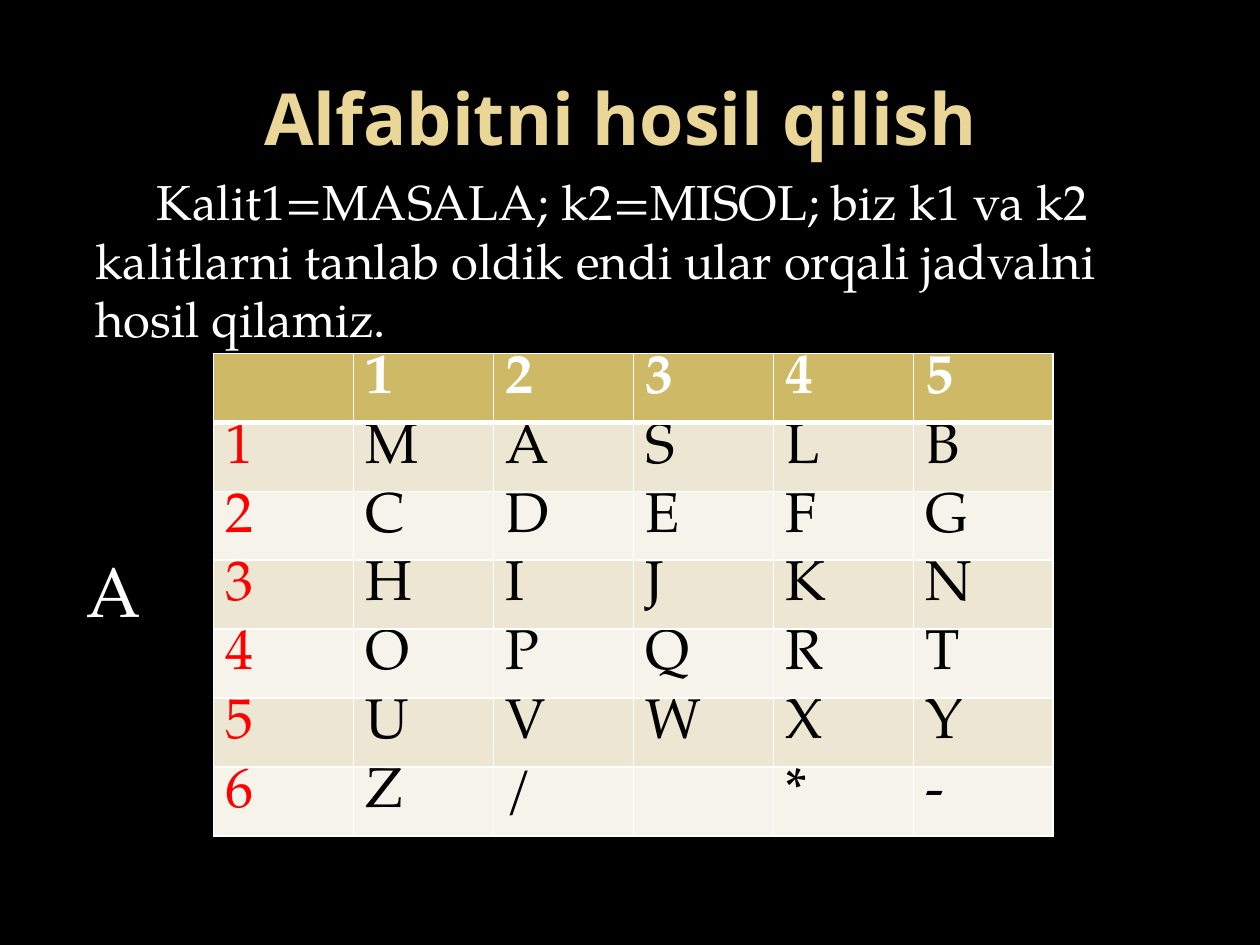
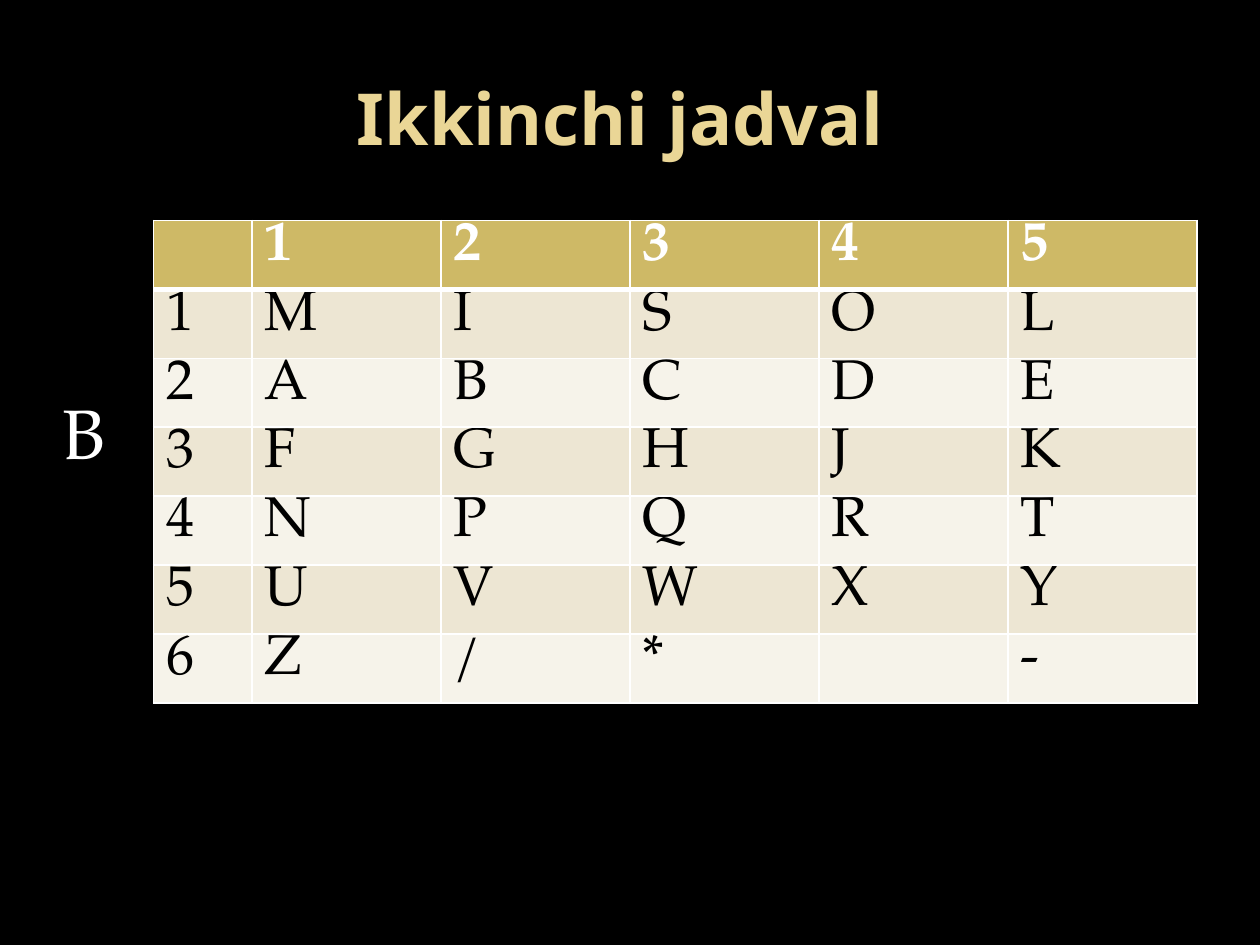
import pptx
import pptx.dml.color
import pptx.enum.text
import pptx.oxml
import pptx.oxml.ns
import pptx.util
from lxml import etree

Pt = pptx.util.Pt

# Content: table rows list the row label first, then the letters
SLIDES = [
    {
        "title": "Alfabitni hosil qilish ",
        "intro": "Kalit1=MASALA; k2=MISOL; biz k1 va k2 kalitlarni tanlab oldik "
                 "endi ular orqali jadvalni hosil qilamiz.",
        "rows": [" 12345", "1MASLB", "2CDEFG", "3HIJKN", "4OPQRT", "5UVWXY", "6Z/ *-"],
        "table_at": (121.9, 202),
        "column_widths": [80] * 6,
        "label_color": "FF0000",
        "letter": "A",
        "letter_box": (42.5, 309.6, 46, 55.4),
    },
    {
        "title": "Ikkinchi jadval ",
        "intro": None,
        "rows": [" 12345", "1MISOL", "2ABCDE", "3FGHJK", "4NPQRT", "5UVWXY", "6Z/* -"],
        "table_at": (87.8, 126),
        "column_widths": [56.2] + [108] * 5,
        "label_color": "000000",
        "letter": "B",
        "letter_box": (28.8, 218.9, 38.9, 55.4),
    },
]

# Shared style
TITLE_FONT, BODY_FONT = "Noto Sans", "TeX Gyre Pagella"
BLACK, WHITE, TITLE_GOLD = "000000", "FFFFFF", "EAD696"
HEADER_FILL, BAND_FILLS = "CEB966", ("EDE6D3", "F6F3EA")
TITLE_BOX = (36, 21.6, 648, 90)
INTRO_BOX = (36.7, 94.3, 648, 388)
ROW_HEIGHT = 39.4


def color(hex_string):
    return pptx.dml.color.RGBColor.from_string(hex_string)


def add_run(paragraph, text, size, hex_string, font=BODY_FONT, bold=False):
    run = paragraph.add_run()
    run.text = text
    run.font.name, run.font.size, run.font.bold = font, Pt(size), bold
    run.font.color.rgb = color(hex_string)


def add_text_frame(slide, box, wrap=True):
    text_frame = slide.shapes.add_textbox(*map(Pt, box)).text_frame
    text_frame.word_wrap = wrap
    return text_frame


def add_title(slide, text):
    text_frame = add_text_frame(slide, TITLE_BOX)
    text_frame.vertical_anchor = pptx.enum.text.MSO_ANCHOR.MIDDLE
    paragraph = text_frame.paragraphs[0]
    paragraph.alignment = pptx.enum.text.PP_ALIGN.CENTER
    add_run(paragraph, text, 41, TITLE_GOLD, TITLE_FONT, bold=True)


def add_intro(slide, text):
    paragraph = add_text_frame(slide, INTRO_BOX).paragraphs[0]
    paragraph.space_before = Pt(5.6)
    properties = paragraph._p.get_or_add_pPr()
    properties.set("marL", str(Pt(10.8)))
    properties.set("indent", str(Pt(35)))
    add_run(paragraph, text, 28, WHITE)


def add_border(cell, side, width):
    line = etree.SubElement(cell._tc.get_or_add_tcPr(),
                            pptx.oxml.ns.qn("a:ln" + side), w=str(Pt(width)))
    fill = etree.SubElement(line, pptx.oxml.ns.qn("a:solidFill"))
    etree.SubElement(fill, pptx.oxml.ns.qn("a:srgbClr"), val=WHITE)


def style_cell(cell, row_index):
    cell.margin_top = cell.margin_bottom = 0
    # A thick rule separates the header from the letters
    widths = {"L": 1, "R": 1, "T": 3 if row_index == 1 else 1, "B": 3 if row_index == 0 else 1}
    for side, width in widths.items():
        add_border(cell, side, width)
    cell.fill.solid()
    cell.fill.fore_color.rgb = color(BAND_FILLS[(row_index - 1) % 2] if row_index else HEADER_FILL)


def add_key_table(slide, rows, table_at, column_widths, label_color):
    size = (sum(column_widths), ROW_HEIGHT * len(rows))
    table = slide.shapes.add_table(len(rows), len(column_widths),
                                   *map(Pt, table_at + size)).table
    for column, width in zip(table.columns, column_widths):
        column.width = Pt(width)
    for row_index, row in enumerate(rows):
        table.rows[row_index].height = Pt(ROW_HEIGHT)
        for column_index, symbol in enumerate(row):
            cell = table.cell(row_index, column_index)
            style_cell(cell, row_index)
            if symbol == " ":
                continue
            is_header = row_index == 0
            text_color = WHITE if is_header else BLACK if column_index else label_color
            add_run(cell.text_frame.paragraphs[0], symbol, 32, text_color, bold=is_header)


def main():
    presentation = pptx.Presentation()
    presentation.slide_width, presentation.slide_height = Pt(720), Pt(540)
    background = presentation.slide_master.background.fill
    background.solid()
    background.fore_color.rgb = color(BLACK)

    for content in SLIDES:
        slide = presentation.slides.add_slide(presentation.slide_layouts[6])
        add_title(slide, content["title"])
        if content["intro"]:
            add_intro(slide, content["intro"])
        add_key_table(slide, content["rows"], content["table_at"],
                      content["column_widths"], content["label_color"])
        # Name of the table
        letter_frame = add_text_frame(slide, content["letter_box"], wrap=False)
        add_run(letter_frame.paragraphs[0], content["letter"], 40, WHITE)

    presentation.save("out.pptx")


if __name__ == "__main__":
    main()
